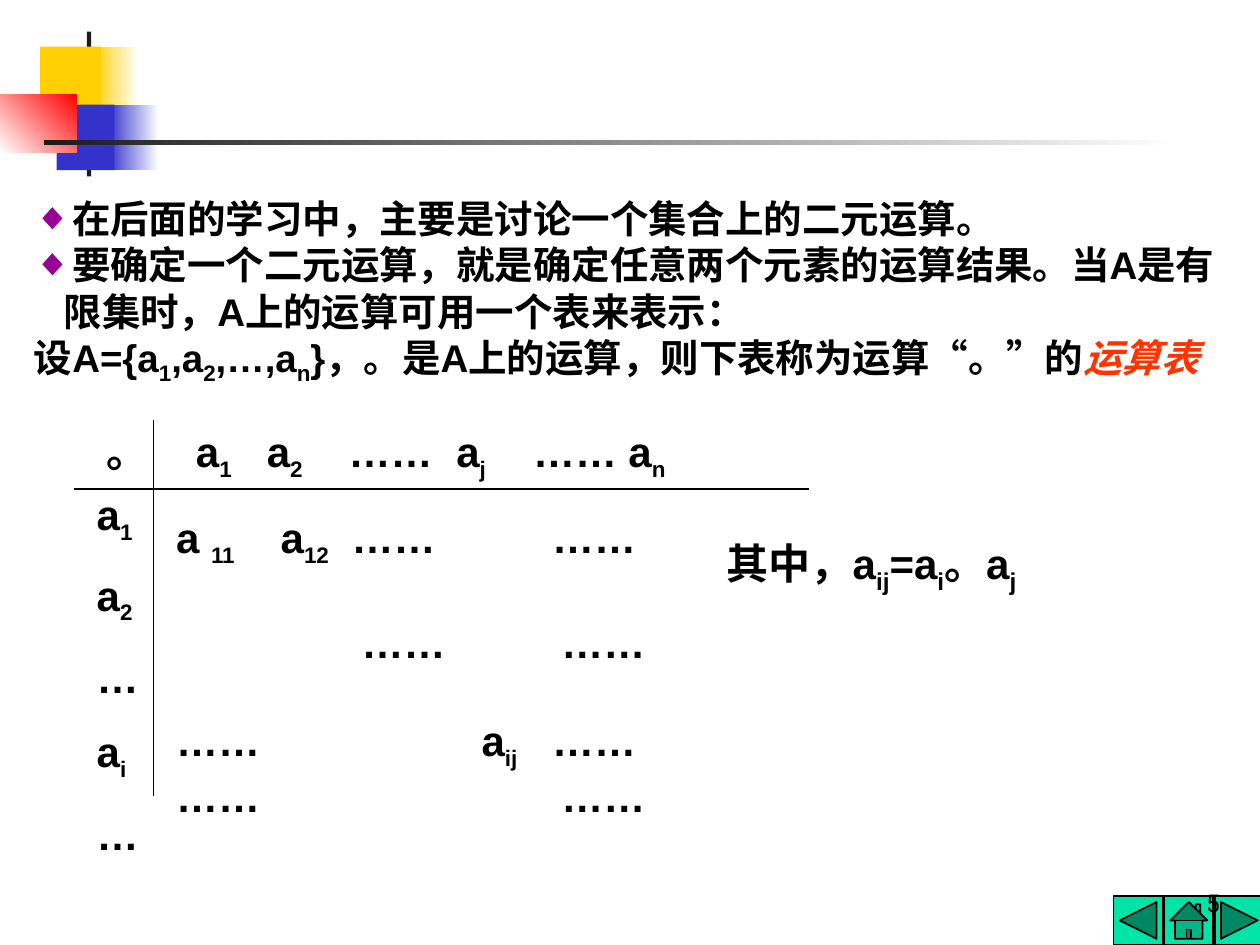
from lxml.etree import SubElement
from pptx import Presentation
from pptx.dml.color import RGBColor
from pptx.enum.shapes import MSO_CONNECTOR, MSO_SHAPE as Preset
from pptx.enum.text import MSO_ANCHOR, MSO_AUTO_SIZE, PP_ALIGN
from pptx.oxml.ns import qn
from pptx.util import Cm, Pt

COLORS = {
    "black": "000000", "white": "FFFFFF", "ink": "1C1C1C", "yellow": "FFCF01",
    "blue": "3333CC", "red": "FF0000", "button": "00E4A8",
    "bullet": "990099", "term": "FF3300",
}


def rgb(name):
    return RGBColor.from_string(COLORS[name])


def add_preset(slide, preset, box):
    shape = slide.shapes.add_shape(preset, *map(Cm, box))
    shape.shadow.inherit = False
    return shape


def add_text_box(slide, box, wrap=True):
    frame = slide.shapes.add_textbox(*map(Cm, box)).text_frame
    frame.word_wrap = wrap
    return frame


def add_run(paragraph, text, size, color="black", font="Arial", bold=True):
    run = paragraph.add_run()
    run.text = text
    run.font.size, run.font.bold, run.font.name = Pt(size), bold, font
    run.font.color.rgb = rgb(color)
    return run


def add_math(paragraph, text, size, sub_size):
    """Add runs from text split at "|", every second piece being a subscript."""
    for number, piece in enumerate(text.split("|")):
        is_sub = number % 2 == 1
        if piece:
            run = add_run(paragraph, piece, sub_size if is_sub else size)
            if is_sub:
                run.font._element.set("baseline", "-25000")


def add_line(frame, index, space_before=0):
    paragraph = frame.paragraphs[0] if index == 0 else frame.add_paragraph()
    paragraph.space_before = Pt(space_before if index else 0)
    return paragraph


def set_tabs(paragraph, stops):
    tabs = SubElement(paragraph._p.get_or_add_pPr(), qn("a:tabLst"))
    for stop in stops:
        SubElement(tabs, qn("a:tab"), pos=str(Cm(stop)), algn="l")


def set_bullet(paragraph, char=None):
    """Give a hanging bullet, or none at all without a character."""
    properties = paragraph._p.get_or_add_pPr()
    hang = Cm(0.6) if char else 0
    properties.set("marL", str(hang))
    properties.set("indent", str(-hang))
    if char:
        color = SubElement(properties, qn("a:buClr"))
        SubElement(color, qn("a:srgbClr"), val=COLORS["bullet"])
        SubElement(properties, qn("a:buChar"), char=char)
    else:
        SubElement(properties, qn("a:buNone"))


def draw_ornament(slide, left, top):
    parts = [  # x, y, width, height, colours from start to end, angle
        (1.88, 0.3, 0.91, 1.32, ("white", "yellow"), 180),
        (2.18, 1.47, 1.02, 1.32, ("white", "blue"), 180),
        (1.75, 0, 0.09, 2.92, ("ink",), 0),
        (0.81, 0.3, 1.22, 1.32, ("yellow",), 0),
        (1.14, 1.47, 1.17, 1.32, ("blue",), 0),
        (0, 1.26, 1.55, 1.17, ("red", "white"), 225),
        (0.89, 2.18, 22.86, 0.1, ("white", "ink"), 180),
    ]
    for x, y, width, height, colors, angle in parts:
        shape = add_preset(slide, Preset.RECTANGLE, (left + x, top + y, width, height))
        shape.line.fill.background()
        if len(colors) == 1:
            shape.fill.solid()
            shape.fill.fore_color.rgb = rgb(colors[0])
            continue
        shape.fill.gradient()
        shape.fill.gradient_angle = angle
        for stop, color in zip(shape.fill.gradient_stops, colors):
            stop.color.rgb = rgb(color)


def draw_navigation(slide, left, top, size, pitch):
    buttons = (Preset.ACTION_BUTTON_BACK_OR_PREVIOUS, Preset.ACTION_BUTTON_HOME,
               Preset.ACTION_BUTTON_FORWARD_OR_NEXT)
    for column, preset in enumerate(buttons):
        button = add_preset(slide, preset, (left + column * pitch, top, size, size))
        button.fill.solid()
        button.fill.fore_color.rgb = rgb("button")
        button.line.color.rgb = rgb("black")
        button.line.width = Pt(1)


def fill_body(slide, box):
    body = slide.placeholders[1]
    body.left, body.top, body.width, body.height = map(Cm, box)
    frame = body.text_frame
    frame.auto_size = MSO_AUTO_SIZE.NONE
    frame.vertical_anchor = MSO_ANCHOR.TOP
    lines = [
        ("◆", "在后面的学习中，主要是讨论一个集合上的二元运算。"),
        ("◆", "要确定一个二元运算，就是确定任意两个元素的运算结果。"
              "当A是有限集时，A上的运算可用一个表来表示："),
        (None, "设A={a|1|,a|2|,…,a|n|}，。是A上的运算，则下表称为运算“。”的"),
    ]
    for index, (char, text) in enumerate(lines):
        paragraph = add_line(frame, index)
        set_bullet(paragraph, char)
        add_math(paragraph, text, 22, 22)
    add_run(paragraph, "运算表", 22, "term").font.italic = True


def draw_rules(slide, left, top, width, height, column, row):
    """Draw the line under the header row and the one beside the label column."""
    ends = [(left, top + row, left + width, top + row),
            (left + column, top, left + column, top + height)]
    for points in ends:
        line = slide.shapes.add_connector(MSO_CONNECTOR.STRAIGHT, *map(Cm, points))
        line.line.color.rgb = rgb("black")
        line.line.width = Pt(0.75)
        SubElement(line._element.spPr, qn("a:effectLst"))


def draw_operation_table(slide, left, top):
    labels = add_text_box(slide, (left + 0.2, top + 1.27, 2.06, 7.72))
    for index, (text, gap) in enumerate(
            [("a|1", 0), ("a|2", 13.8), ("…", 15), ("a|i", 13.8), ("…", 15)]):
        add_math(add_line(labels, index, gap), text, 24, 22)

    header = add_text_box(slide, (left + 0.4, top, 14, 1.4)).paragraphs[0]
    set_tabs(header, (1.8, 3.23, 4.88, 7.05, 8.6, 10.52))
    add_math(header, "。\ta|1|\ta|2|\t……\ta|j|\t……\ta|n", 24, 22)

    draw_rules(slide, left, top, 14.81, 7.59, 1.6, 1.4)

    row_height = 27.6
    cells = add_text_box(slide, (left + 1.8, top + 1.73, 14.07, 7.59))
    rows = [  # text, tab stops, space before
        ("a |11|\ta|12|\t……\t……", (2.11, 3.54, 7.58), 0),
        ("\t……\t……", (3.74, 7.77), row_height),
        ("……\ta|ij|\t……", (6.16, 7.58), row_height),
        ("……\t……", (7.77,), 0),
    ]
    for index, (text, stops, gap) in enumerate(rows):
        paragraph = add_line(cells, index, gap)
        set_tabs(paragraph, stops)
        add_math(paragraph, text, 24, 22)

    note = add_text_box(slide, (left + 12.9, top + 2.26, 6.96, 1.42), wrap=False)
    add_math(note.paragraphs[0], "其中，a|ij|=a|i|。a|j", 24, 24)


def draw_page_number(slide, box):
    frame = add_text_box(slide, box)
    frame.vertical_anchor = MSO_ANCHOR.BOTTOM
    paragraph = frame.paragraphs[0]
    paragraph.alignment = PP_ALIGN.RIGHT
    add_run(paragraph, "5", 14, font="Roboto", bold=False)


def main():
    presentation = Presentation()
    presentation.slide_width, presentation.slide_height = Cm(25.4), Cm(19.05)
    slide = presentation.slides.add_slide(presentation.slide_layouts[1])
    title = slide.shapes.title._element
    title.getparent().remove(title)

    draw_ornament(slide, 0, 0.64)
    draw_navigation(slide, 22.45, 18.06, 0.99, 1.02)
    fill_body(slide, (0.43, 3.81, 24.64, 5.05))
    draw_operation_table(slide, 1.5, 8.46)
    draw_page_number(slide, (19.56, 17.35, 5.28, 1.27))
    presentation.save("out.pptx")


if __name__ == "__main__":
    main()
